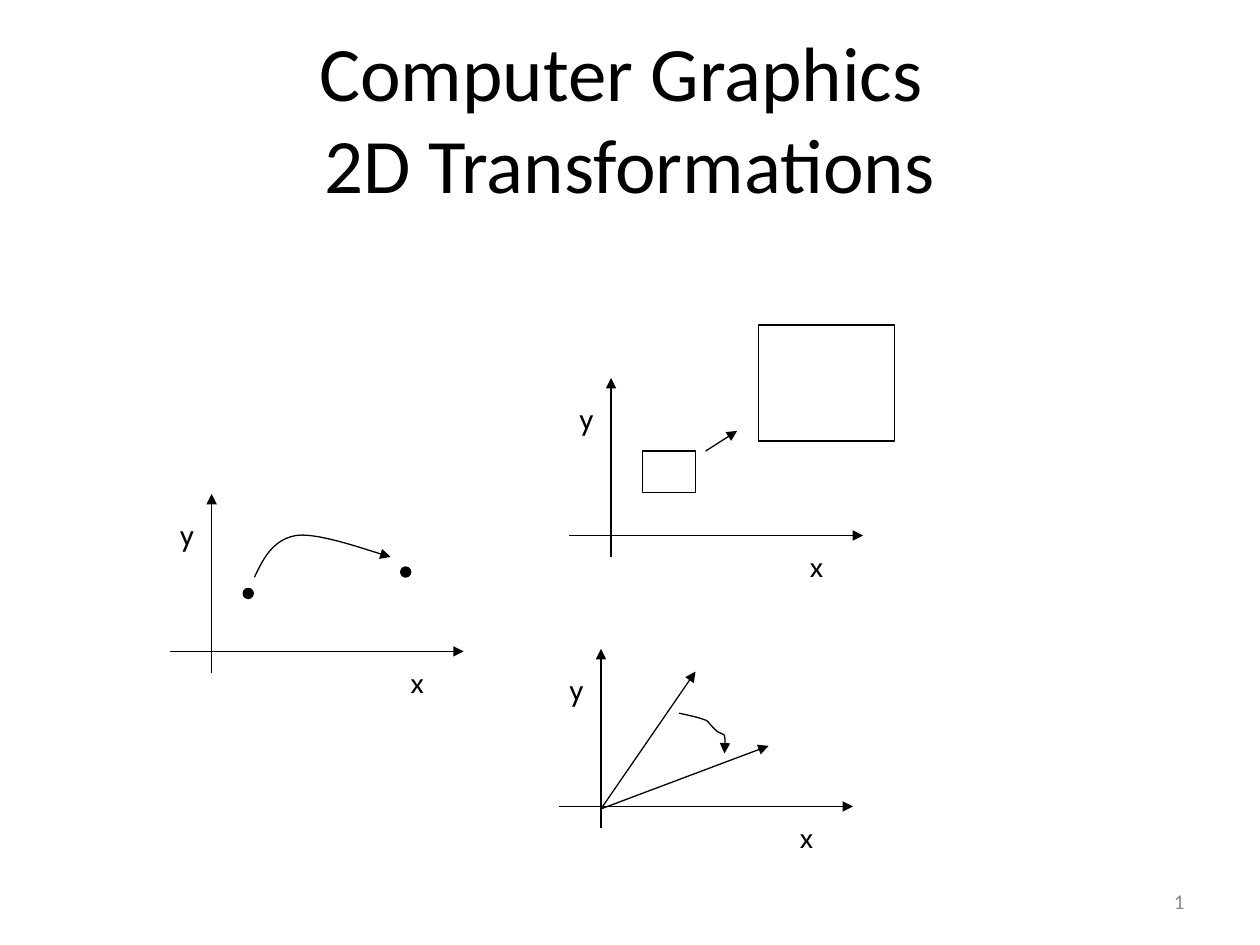
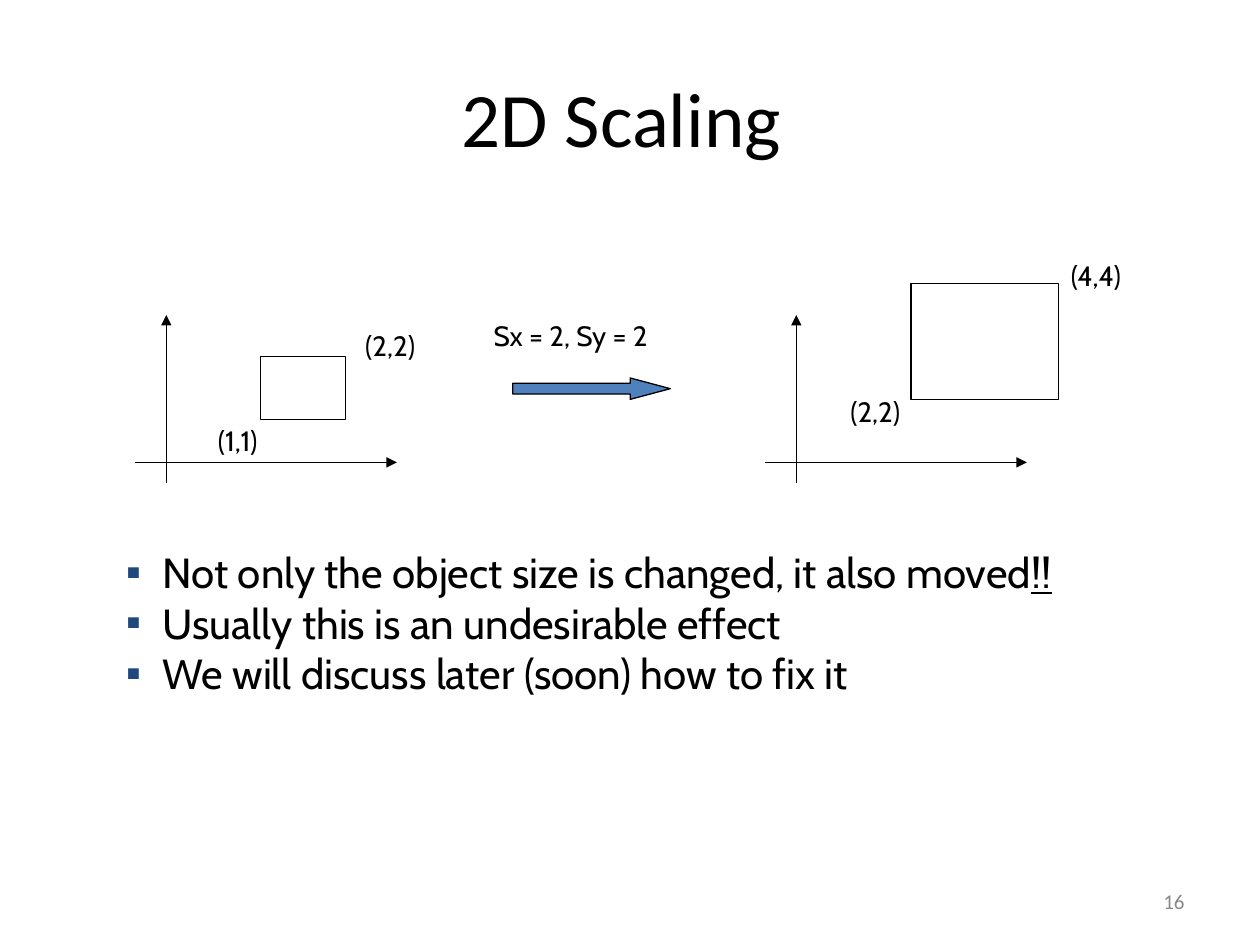
from typing import NamedTuple

from lxml import etree
from pptx import Presentation
from pptx.dml.color import RGBColor
from pptx.enum.shapes import MSO_CONNECTOR, MSO_SHAPE
from pptx.enum.text import MSO_ANCHOR, MSO_AUTO_SIZE, PP_ALIGN
from pptx.oxml.ns import qn
from pptx.util import Inches, Pt

STRAIGHT = MSO_CONNECTOR.STRAIGHT
RECT, OVAL, RIGHT_ARROW = MSO_SHAPE.RECTANGLE, MSO_SHAPE.OVAL, MSO_SHAPE.RIGHT_ARROW
MIDDLE, TOP = MSO_ANCHOR.MIDDLE, MSO_ANCHOR.TOP
FIT_SHAPE, NO_FIT = MSO_AUTO_SIZE.SHAPE_TO_FIT_TEXT, MSO_AUTO_SIZE.NONE
CENTER, RIGHT = PP_ALIGN.CENTER, PP_ALIGN.RIGHT

BLACK = RGBColor(0x00, 0x00, 0x00)
GRAY = RGBColor(0x89, 0x89, 0x89)
BLUE = RGBColor(0x4F, 0x81, 0xBD)
NAVY = RGBColor(0x1F, 0x49, 0x7D)
HEAD_FONT, BODY_FONT = "Calibri", "Cabin"
LINE_WIDTH = Pt(0.75)
CURVE_STEPS = 12


class Point(NamedTuple):
    x: float
    y: float


class Box(NamedTuple):
    x: float
    y: float
    w: float
    h: float


class AxisSize(NamedTuple):
    left: float
    right: float
    up: float
    down: float


class Label(NamedTuple):
    text: str
    x: float
    y: float
    w: float = 0.68


class ScaledSquare(NamedTuple):
    origin: Point
    square: Box
    labels: tuple[Label, ...]


AXIS_SIZE = AxisSize(0.33, 2, 1.25, 0.17)
SCALING_AXIS_SIZE = AxisSize(0.25, 1.83, 1.17, 0.16)
MOVE_ORIGIN = Point(1.68, 5.17)
GROW_ORIGIN = Point(4.85, 4.25)
ROTATE_ORIGIN = Point(4.77, 6.4)
DOTS = [Box(1.93, 4.67, 0.08, 0.08), Box(3.18, 4.5, 0.08, 0.08)]
SQUARES = [Box(5.1, 3.58, 0.42, 0.33), Box(6.02, 2.58, 1.08, 0.92)]
MOVE_CURVE = [
    Point(2.02, 4.58), Point(2.09, 4.43), Point(2.17, 4.28), Point(2.35, 4.25),
    Point(2.53, 4.22), Point(2.98, 4.39), Point(3.1, 4.42),
]
ROTATE_CURVE = [
    Point(5.39, 5.66), Point(5.47, 5.68), Point(5.54, 5.69), Point(5.61, 5.72),
    Point(5.64, 5.75), Point(5.67, 5.79), Point(5.7, 5.81),
    Point(5.72, 5.82), Point(5.75, 5.83), Point(5.75, 5.84),
    Point(5.76, 5.89), Point(5.75, 5.94), Point(5.75, 5.98),
]
SCALED_SQUARES = [
    ScaledSquare(
        Point(1.32, 3.67), Box(2.07, 2.83, 0.67, 0.5),
        (Label("(1,1)", 1.63, 3.31), Label("(2,2)", 2.8, 2.56)),
    ),
    ScaledSquare(
        Point(6.32, 3.67), Box(7.23, 2.25, 1.17, 0.92),
        (Label("(2,2)", 6.65, 3.08), Label("(4,4)", 8.4, 2)),
    ),
]
SCALING_NOTES = [
    ("Not only the object size is changed, it also moved", "!!"),
    ("Usually this is an undesirable effect",),
    ("We will discuss later (soon) how to fix it",),
]


def inches(*lengths: float) -> list:
    return [Inches(length) for length in lengths]


def format_run(r, size: float, font: str, color: RGBColor) -> None:
    r.font.size = Pt(size)
    r.font.name = font
    r.font.color.rgb = color


def format_line(line) -> None:
    line.color.rgb = BLACK
    line.width = LINE_WIDTH


def add_arrowhead(line) -> None:
    ln = line.line._get_or_add_ln()
    etree.SubElement(ln, qn("a:tailEnd"), type="triangle")


def add_arrow(shapes, start: Point, end: Point) -> None:
    line = shapes.add_connector(STRAIGHT, *inches(*start, *end))
    format_line(line.line)
    add_arrowhead(line)
    etree.SubElement(line._element.spPr, qn("a:effectLst"))


def add_outlined(shapes, kind, box: Box, fill: RGBColor | None = None):
    sp = shapes.add_shape(kind, *inches(*box))
    sp.shadow.inherit = False
    if fill is None:
        sp.fill.background()
    else:
        sp.fill.solid()
        sp.fill.fore_color.rgb = fill
    format_line(sp.line)
    return sp


def add_label(shapes, label: Label) -> None:
    tf = shapes.add_textbox(*inches(label.x, label.y, label.w, 0.37)).text_frame
    tf.text = label.text
    tf.word_wrap = False
    tf.auto_size = FIT_SHAPE
    format_run(tf.paragraphs[0].runs[0], 16, BODY_FONT, BLACK)


def add_axes(shapes, origin: Point, size: AxisSize) -> None:
    x, y = origin
    add_arrow(shapes, Point(x - size.left, y), Point(x + size.right, y))
    add_arrow(shapes, Point(x, y + size.down), Point(x, y - size.up))


def add_named_axes(shapes, origin: Point) -> None:
    add_axes(shapes, origin, AXIS_SIZE)
    add_label(shapes, Label("x", origin.x + 1.48, origin.y + 0.06, 0.31))
    add_label(shapes, Label("y", origin.x - 0.35, origin.y - 1.11, 0.31))


def bezier(controls: list[Point], t: float) -> Point:
    weights = [(1 - t) ** 3, 3 * t * (1 - t) ** 2, 3 * t * t * (1 - t), t**3]
    return Point(
        sum(w * c.x for w, c in zip(weights, controls)),
        sum(w * c.y for w, c in zip(weights, controls)),
    )


def add_curved_arrow(shapes, controls: list[Point]) -> None:
    points = [
        inches(*bezier(controls[i:i + 4], step / CURVE_STEPS))
        for i in range(0, len(controls) - 1, 3)
        for step in range(1, CURVE_STEPS + 1)
    ]
    builder = shapes.build_freeform(*inches(*controls[0]))
    builder.add_line_segments(points, close=False)
    curve = builder.convert_to_shape()
    curve.shadow.inherit = False
    curve.fill.background()
    format_line(curve.line)
    add_arrowhead(curve)


def add_slide(prs, layout: int, title: str, number: str):
    s = prs.slides.add_slide(prs.slide_layouts[layout])
    sp = s.shapes.title
    sp.left, sp.top, sp.width, sp.height = inches(0.5, 0.3, 9, 1.25)
    tf = sp.text_frame
    tf.text = title
    tf.auto_size = NO_FIT
    tf.vertical_anchor = MIDDLE
    p = tf.paragraphs[0]
    p.alignment = CENTER
    for r in p.runs:
        format_run(r, 44, HEAD_FONT, BLACK)
    tf = s.shapes.add_textbox(*inches(7.17, 6.95, 2.33, 0.4)).text_frame
    tf.text = number
    tf.word_wrap = True
    tf.vertical_anchor = MIDDLE
    p = tf.paragraphs[0]
    p.alignment = RIGHT
    format_run(p.runs[0], 12, HEAD_FONT, GRAY)
    return s


def set_bullet(p) -> None:
    pPr = p._p.get_or_add_pPr()
    pPr.set("marL", str(Inches(0.29)))
    pPr.set("indent", str(-Inches(0.29)))
    color = etree.SubElement(pPr, qn("a:buClr"))
    etree.SubElement(color, qn("a:srgbClr"), val=str(NAVY))
    etree.SubElement(pPr, qn("a:buFont"), typeface=HEAD_FONT)
    etree.SubElement(pPr, qn("a:buChar"), char="▪")


def fill_notes(sp) -> None:
    sp.left, sp.top, sp.width, sp.height = inches(0.9, 4.29, 8.09, 1.3)
    tf = sp.text_frame
    tf.auto_size = NO_FIT
    tf.vertical_anchor = TOP
    for i, parts in enumerate(SCALING_NOTES):
        p = tf.add_paragraph() if i else tf.paragraphs[0]
        p.space_before = Pt(0)
        set_bullet(p)
        for j, part in enumerate(parts):
            r = p.add_run()
            r.text = part
            format_run(r, 24, BODY_FONT, BLACK)
            if j:
                r.font.underline = True


def build_transformations(prs) -> None:
    s = add_slide(prs, 5, "Computer Graphics \v2D Transformations", "1")
    shapes = s.shapes
    for origin in (MOVE_ORIGIN, GROW_ORIGIN, ROTATE_ORIGIN):
        add_named_axes(shapes, origin)
    for dot in DOTS:
        add_outlined(shapes, OVAL, dot, BLACK)
    add_curved_arrow(shapes, MOVE_CURVE)
    for square in SQUARES:
        add_outlined(shapes, RECT, square)
    add_arrow(shapes, Point(5.6, 3.58), Point(5.85, 3.42))
    for tip in (Point(5.52, 5.33), Point(6.1, 5.92)):
        add_arrow(shapes, Point(4.77, 6.42), tip)
    add_curved_arrow(shapes, ROTATE_CURVE)


def build_scaling(prs) -> None:
    s = add_slide(prs, 1, "2D Scaling ", "16")
    for scaled in SCALED_SQUARES:
        shapes = s.shapes.add_group_shape().shapes
        add_axes(shapes, scaled.origin, SCALING_AXIS_SIZE)
        add_outlined(shapes, RECT, scaled.square)
        for label in scaled.labels:
            add_label(shapes, label)
    shapes = s.shapes.add_group_shape().shapes
    arrow = add_outlined(shapes, RIGHT_ARROW, Box(4.07, 3, 1.25, 0.17), BLUE)
    arrow.adjustments[0] = 0.5
    arrow.adjustments[1] = 1.875
    add_label(shapes, Label("Sx = 2, Sy = 2", 3.82, 2.48, 1.79))
    fill_notes(s.placeholders[1])


def main() -> None:
    prs = Presentation()
    prs.slide_width, prs.slide_height = inches(10, 7.5)
    build_transformations(prs)
    build_scaling(prs)
    prs.save("out.pptx")


if __name__ == "__main__":
    main()
